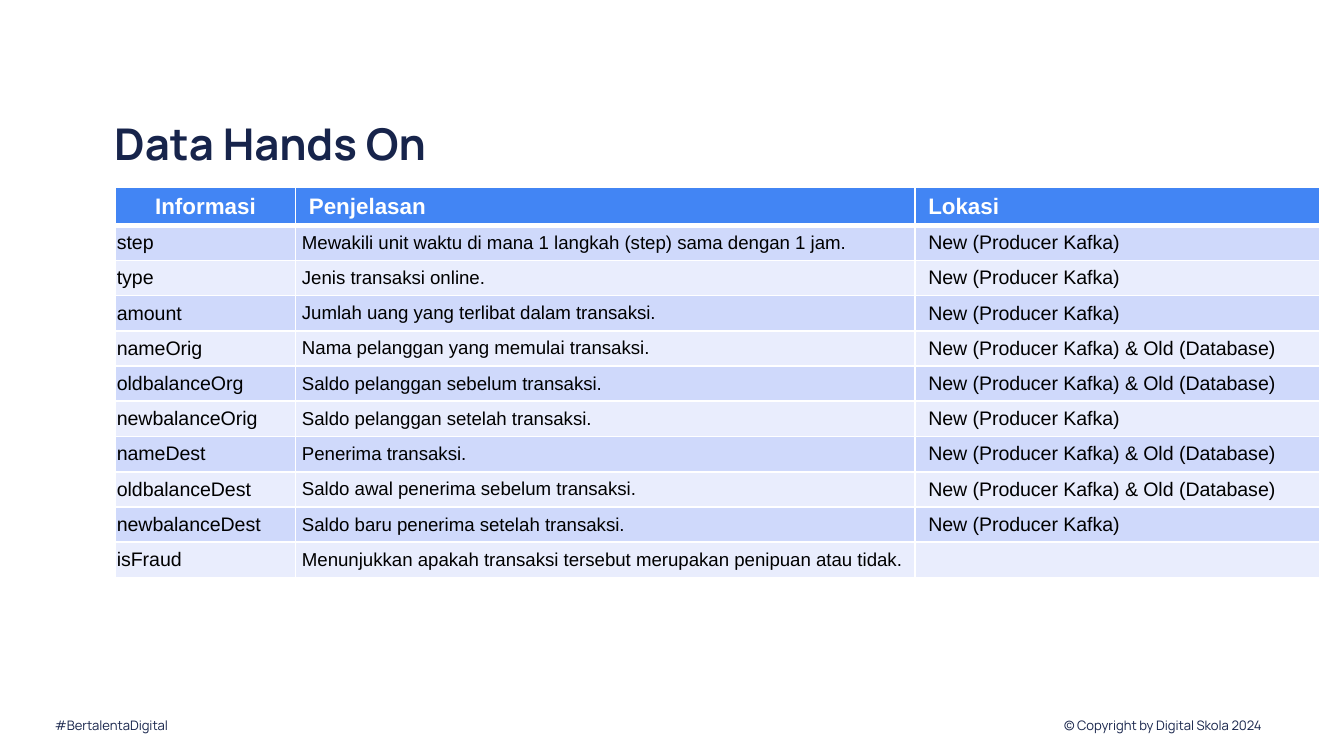
from typing import NamedTuple

from lxml import etree
from pptx import Presentation
from pptx.dml.color import RGBColor
from pptx.enum import text
from pptx.oxml import ns
from pptx.util import Pt

NAVY = RGBColor(0x17, 0x24, 0x4B)
BLUE = RGBColor(0x42, 0x85, 0xF4)
LIGHT_BLUE = RGBColor(0xCF, 0xD9, 0xFB)
PALE_BLUE = RGBColor(0xE9, 0xED, 0xFD)
WHITE = RGBColor(0xFF, 0xFF, 0xFF)
BLACK = RGBColor(0, 0, 0)

HEADER_HEIGHT = 20.1
ROW_HEIGHT = 18.88
TABLE_LEFT, TABLE_TOP = 61.9, 100.5


class Column(NamedTuple):
    heading: str
    width: float
    margin: float
    size: float
    heading_align: text.PP_ALIGN


class Field(NamedTuple):
    name: str
    meaning: str
    location: str


class Footer(NamedTuple):
    left: float
    label: str


NEW = "New (Producer Kafka)"
NEW_AND_OLD = "New (Producer Kafka) & Old (Database)"

COLUMNS = [
    Column("Informasi", 96.4, 0.7, 10.5, text.PP_ALIGN.CENTER),
    Column("Penjelasan", 331.8, 3.5, 10, text.PP_ALIGN.LEFT),
    Column("Lokasi", 216.8, 7.2, 10.5, text.PP_ALIGN.LEFT),
]
FIELDS = [
    Field("step", "Mewakili unit waktu di mana 1 langkah (step) sama dengan 1 jam.", NEW),
    Field("type", "Jenis transaksi online.", NEW),
    Field("amount", "Jumlah uang yang terlibat dalam transaksi.", NEW),
    Field("nameOrig", "Nama pelanggan yang memulai transaksi.", NEW_AND_OLD),
    Field("oldbalanceOrg", "Saldo pelanggan sebelum transaksi.", NEW_AND_OLD),
    Field("newbalanceOrig", "Saldo pelanggan setelah transaksi.", NEW),
    Field("nameDest", "Penerima transaksi.", NEW_AND_OLD),
    Field("oldbalanceDest", "Saldo awal penerima sebelum transaksi.", NEW_AND_OLD),
    Field("newbalanceDest", "Saldo baru penerima setelah transaksi.", NEW),
    Field("isFraud", "Menunjukkan apakah transaksi tersebut merupakan penipuan atau tidak.", ""),
]
FOOTERS = [
    Footer(22.3, "#BertalentaDigital"),
    Footer(563, "© Copyright by Digital Skola 2024"),
]


def format_runs(paragraph, font: str, size: float, color: RGBColor, bold: bool = False) -> None:
    for run in paragraph.runs:
        run.font.name = font
        run.font.size = Pt(size)
        run.font.bold = bold
        run.font.color.rgb = color


def add_title(slide) -> None:
    title = slide.shapes.title
    title.left, title.top, title.width, title.height = Pt(54), Pt(55.4), Pt(423.4), Pt(45.4)
    frame = title.text_frame
    frame.text = "Data Hands On"
    frame.auto_size = text.MSO_AUTO_SIZE.NONE
    frame.vertical_anchor = text.MSO_ANCHOR.TOP
    frame.margin_left = frame.margin_right = Pt(7.2)
    frame.margin_top = frame.margin_bottom = Pt(7.2)
    paragraph = frame.paragraphs[0]
    paragraph.alignment = text.PP_ALIGN.LEFT
    format_runs(paragraph, "Manrope", 23.4, NAVY, bold=True)


def add_footer(slide, footer: Footer) -> None:
    box = slide.shapes.add_textbox(Pt(footer.left), Pt(378.7), Pt(135.4), Pt(20.2))
    frame = box.text_frame
    frame.word_wrap = True
    frame.vertical_anchor = text.MSO_ANCHOR.MIDDLE
    frame.text = footer.label
    paragraph = frame.paragraphs[0]
    paragraph.line_spacing = 0.9
    format_runs(paragraph, "Manrope", 7, NAVY)


def set_borders(cell, top: float, bottom: float) -> None:
    """Draw white cell borders; call before setting the cell's fill."""
    properties = cell._tc.get_or_add_tcPr()
    for side, width in (("L", 1), ("R", 1), ("T", top), ("B", bottom)):
        line = etree.SubElement(properties, ns.qn(f"a:ln{side}"), w=str(Pt(width)))
        fill = etree.SubElement(line, ns.qn("a:solidFill"))
        etree.SubElement(fill, ns.qn("a:srgbClr"), val=str(WHITE))


def fill_cell(cell, label: str, margin: float, size: float, background: RGBColor,
              color: RGBColor, align: text.PP_ALIGN, bold: bool) -> None:
    cell.fill.solid()
    cell.fill.fore_color.rgb = background
    cell.vertical_anchor = text.MSO_ANCHOR.MIDDLE
    cell.margin_left = cell.margin_right = Pt(margin)
    cell.margin_top = cell.margin_bottom = Pt(0)
    cell.text_frame.text = label
    paragraph = cell.text_frame.paragraphs[0]
    paragraph.alignment = align
    format_runs(paragraph, "Arial", size, color, bold)
    if not label:  # keeps the empty cell from stretching its row
        end = etree.SubElement(paragraph._p, ns.qn("a:endParaRPr"))
        end.set("sz", str(int(size * 100)))


def add_field_table(slide) -> None:
    width = sum(column.width for column in COLUMNS)
    height = HEADER_HEIGHT + ROW_HEIGHT * len(FIELDS)
    table = slide.shapes.add_table(len(FIELDS) + 1, len(COLUMNS), Pt(TABLE_LEFT), Pt(TABLE_TOP),
                                   Pt(width), Pt(height)).table
    for row in table.rows:
        row.height = Pt(ROW_HEIGHT)
    table.rows[0].height = Pt(HEADER_HEIGHT)

    for x, column in enumerate(COLUMNS):
        table.columns[x].width = Pt(column.width)
        heading = table.cell(0, x)
        set_borders(heading, top=1, bottom=3)
        fill_cell(heading, column.heading, 7.2, 12, BLUE, WHITE, column.heading_align, True)
        for y, field in enumerate(FIELDS, start=1):
            cell = table.cell(y, x)
            set_borders(cell, top=3 if y == 1 else 1, bottom=1)
            fill_cell(cell, field[x], column.margin, column.size,
                      LIGHT_BLUE if y % 2 else PALE_BLUE, BLACK, text.PP_ALIGN.LEFT, False)


def main() -> None:
    presentation = Presentation()
    presentation.slide_width, presentation.slide_height = Pt(720), Pt(405)
    slide = presentation.slides.add_slide(presentation.slide_layouts[5])
    for footer in FOOTERS:
        add_footer(slide, footer)
    add_title(slide)
    add_field_table(slide)
    presentation.save("out.pptx")


if __name__ == "__main__":
    main()
